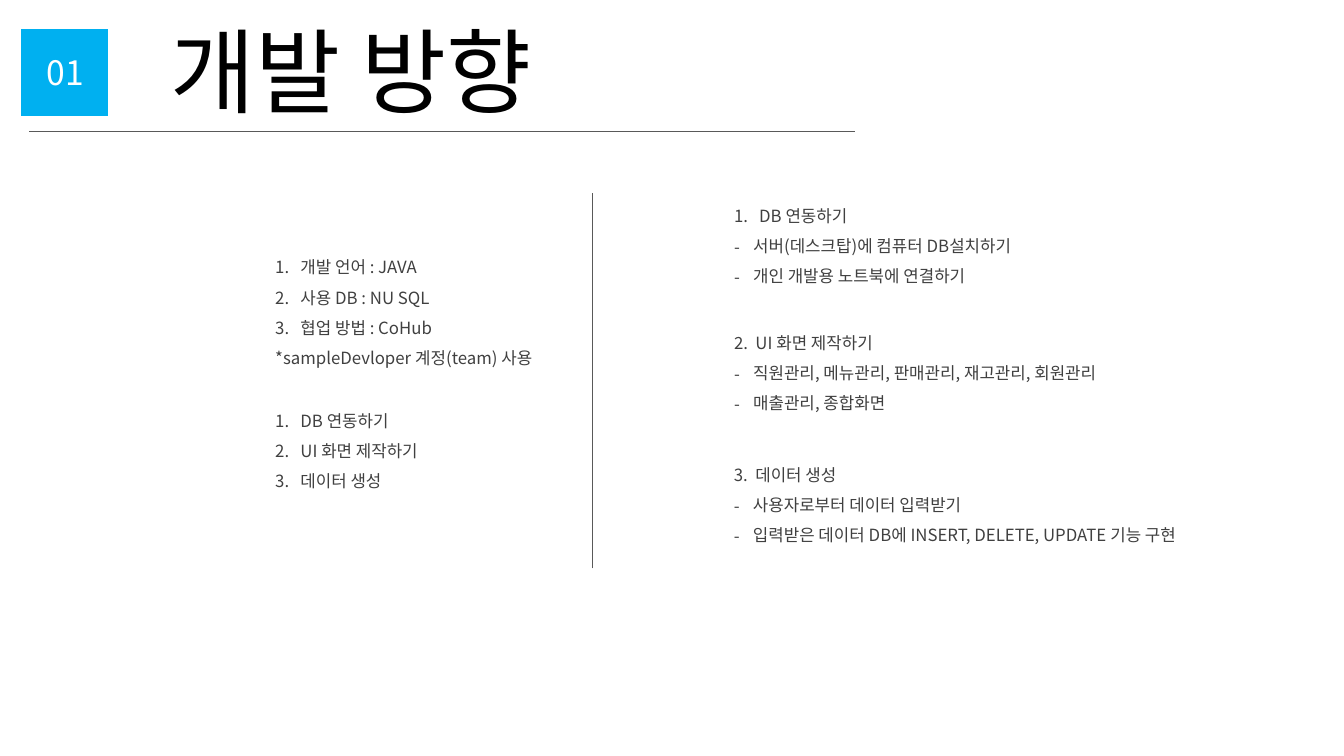
from dataclasses import dataclass
from enum import Enum

from lxml.etree import SubElement
from pptx import Presentation
from pptx.dml.color import RGBColor
from pptx.enum.shapes import MSO_CONNECTOR, MSO_SHAPE
from pptx.enum.text import MSO_ANCHOR as Anchor, MSO_AUTO_SIZE as AutoSize, PP_ALIGN as Align
from pptx.oxml.ns import qn
from pptx.slide import Slide
from pptx.text.text import TextFrame, _Paragraph as Paragraph
from pptx.util import Inches, Pt


@dataclass(frozen=True)
class Theme:
    font: str = "Noto Sans CJK KR"
    black: RGBColor = RGBColor(0x00, 0x00, 0x00)
    white: RGBColor = RGBColor(0xFF, 0xFF, 0xFF)
    body: RGBColor = RGBColor(0x40, 0x40, 0x40)
    rule: RGBColor = RGBColor(0x59, 0x59, 0x59)
    accent: RGBColor = RGBColor(0x00, 0xB0, 0xF0)
    title_size: float = 66
    number_size: float = 24
    body_size: float = 12
    rule_width: float = 0.5
    line_spacing: float = 1.5


THEME = Theme()


class Mark(Enum):
    NONE = 0.0
    NUMBER = 0.25
    DASH = 0.19


@dataclass(frozen=True)
class Item:
    text: str
    mark: Mark = Mark.NONE


@dataclass(frozen=True)
class Area:
    left: float
    top: float
    width: float
    height: float

    def lengths(self) -> list:
        return [Inches(n) for n in (self.left, self.top, self.width, self.height)]


@dataclass(frozen=True)
class ListBlock:
    area: Area
    items: list[Item]


@dataclass(frozen=True)
class Rule:
    x1: float
    y1: float
    x2: float
    y2: float


def numbered(*texts: str) -> list[Item]:
    return [Item(text, Mark.NUMBER) for text in texts]


def dashed(*texts: str) -> list[Item]:
    return [Item(text, Mark.DASH) for text in texts]


LEFT, RIGHT = 2.63, 7.18
BLOCKS = [
    ListBlock(Area(LEFT, 2.4, 2.91, 1.62),
              numbered("개발 언어 : JAVA", "사용 DB : NU SQL", "협업 방법 : CoHub")
              + [Item("*sampleDevloper 계정(team) 사용")]),
    ListBlock(Area(LEFT, 3.92, 2.76, 1.01),
              numbered("DB 연동하기", "UI 화면 제작하기", "데이터 생성")),
    ListBlock(Area(RIGHT, 1.89, 3.43, 1.01),
              numbered("DB 연동하기")
              + dashed("서버(데스크탑)에 컴퓨터 DB설치하기", "개인 개발용 노트북에 연결하기")),
    ListBlock(Area(RIGHT, 3.15, 4.25, 1.31),
              [Item("2.  UI 화면 제작하기")]
              + dashed("직원관리, 메뉴관리, 판매관리, 재고관리, 회원관리", "매출관리, 종합화면")),
    ListBlock(Area(RIGHT, 4.46, 4.97, 1.62),
              [Item("3.  데이터 생성")]
              + dashed("사용자로부터 데이터 입력받기",
                       "입력받은 데이터 DB에 INSERT, DELETE, UPDATE 기능 구현")),
]
RULES = [Rule(0.29, 1.3, 8.48, 1.3), Rule(5.88, 5.64, 5.88, 1.91)]


def place(shape, area: Area) -> None:
    shape.left, shape.top, shape.width, shape.height = area.lengths()


def set_frame(frame: TextFrame, wrap: bool, anchor: Anchor) -> None:
    frame.word_wrap = wrap
    frame.auto_size = AutoSize.NONE
    frame.vertical_anchor = anchor


def add_span(para: Paragraph, text: str, size: float, color: RGBColor) -> None:
    span = para.add_run()
    span.text = text
    span.font.size = Pt(size)
    span.font.bold = False
    span.font.name = THEME.font
    span.font.color.rgb = color
    # Hangul takes its face from the East Asian font
    latin = span.font._element.find(qn("a:latin"))
    east_asian = latin.makeelement(qn("a:ea"), {"typeface": THEME.font})
    latin.addnext(east_asian)


def set_mark(para: Paragraph, mark: Mark) -> None:
    props = para._p.get_or_add_pPr()
    indent = Inches(mark.value)
    props.set("marL", str(indent))
    props.set("indent", str(-indent))
    if mark is Mark.NUMBER:
        SubElement(props, qn("a:buFont"), typeface="+mj-lt")
        SubElement(props, qn("a:buAutoNum"), type="arabicPeriod")
    elif mark is Mark.DASH:
        SubElement(props, qn("a:buFont"), typeface=THEME.font)
        SubElement(props, qn("a:buChar"), char="-")
    else:
        SubElement(props, qn("a:buNone"))


def fill_list(box, block: ListBlock) -> None:
    place(box, block.area)
    frame = box.text_frame
    set_frame(frame, True, Anchor.TOP)
    for index, item in enumerate(block.items):
        para = frame.add_paragraph() if index else frame.paragraphs[0]
        para.alignment = Align.LEFT
        para.line_spacing = THEME.line_spacing
        para.space_before = para.space_after = Pt(0)
        set_mark(para, item.mark)
        add_span(para, item.text, THEME.body_size, THEME.body)


def add_rule(page: Slide, rule: Rule) -> None:
    ends = [Inches(n) for n in (rule.x1, rule.y1, rule.x2, rule.y2)]
    line = page.shapes.add_connector(MSO_CONNECTOR.STRAIGHT, *ends)
    line.line.color.rgb = THEME.rule
    line.line.width = Pt(THEME.rule_width)
    SubElement(line._element.spPr, qn("a:effectLst"))


def add_number(page: Slide, text: str) -> None:
    square = page.shapes.add_shape(MSO_SHAPE.RECTANGLE, *Area(0.21, 0.29, 0.86, 0.86).lengths())
    square.shadow.inherit = False
    square.fill.solid()
    square.fill.fore_color.rgb = THEME.accent
    square.line.fill.background()
    box = page.shapes.add_textbox(*Area(0.29, 0.47, 0.64, 0.5).lengths())
    set_frame(box.text_frame, False, Anchor.TOP)
    para = box.text_frame.paragraphs[0]
    para.alignment = Align.RIGHT
    add_span(para, text, THEME.number_size, THEME.white)


def set_title(page: Slide, text: str) -> None:
    title = page.shapes.title
    place(title, Area(1.59, 0.09, 4.21, 1.21))
    set_frame(title.text_frame, False, Anchor.MIDDLE)
    para = title.text_frame.paragraphs[0]
    para.alignment = Align.LEFT
    add_span(para, text, THEME.title_size, THEME.black)


# Deck and page: the Comparison layout has a title and four bodies
deck = Presentation()
deck.slide_width, deck.slide_height = Inches(13.33), Inches(7.5)
page = deck.slides.add_slide(deck.slide_layouts[4])

# Heading
set_title(page, "개발 방향")
add_number(page, "01")

# Lists: the layout's bodies, and a text box for the last one
bodies = [holder for holder in page.placeholders if 1 <= holder.placeholder_format.idx <= 4]
bodies.append(page.shapes.add_textbox(*BLOCKS[-1].area.lengths()))
for body, block in zip(bodies, BLOCKS):
    fill_list(body, block)

# Rules under the heading and between the columns
for rule in RULES:
    add_rule(page, rule)

deck.save("out.pptx")
